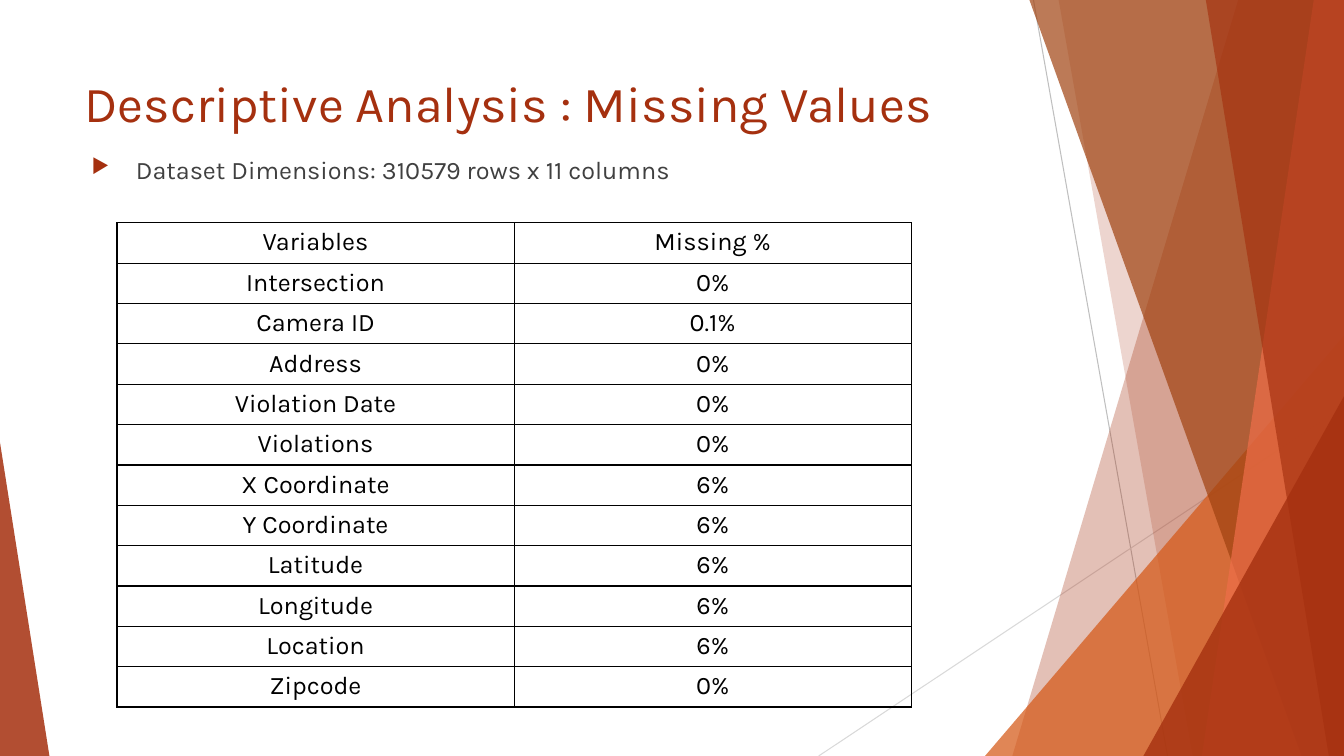
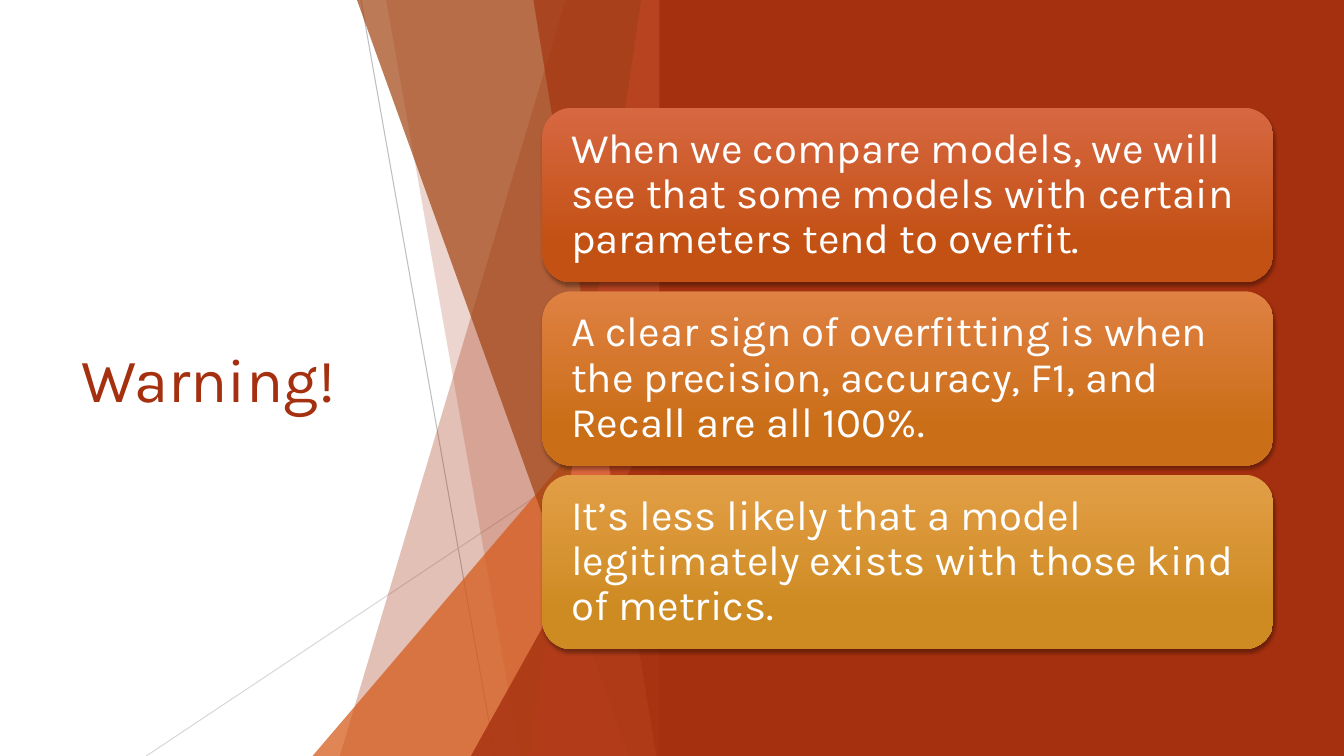
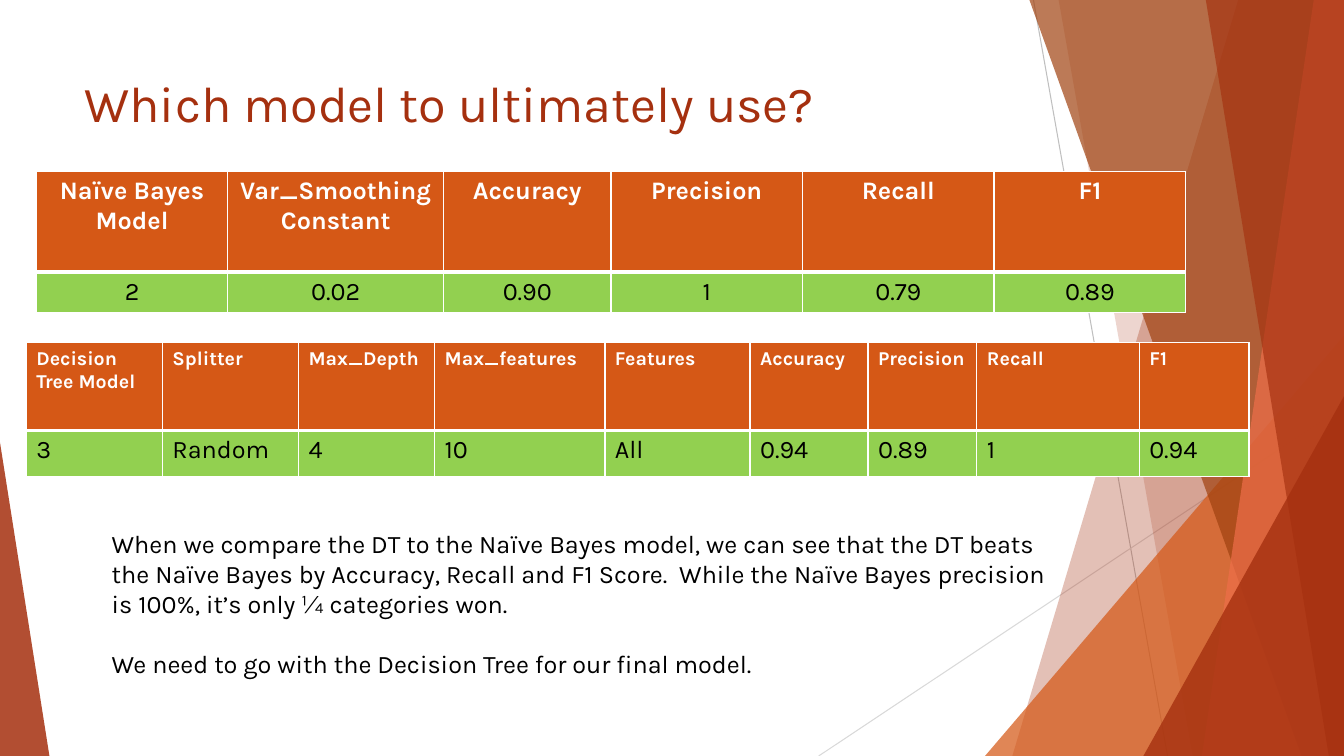
from lxml.etree import SubElement
from pptx import Presentation
from pptx.dml.color import RGBColor
from pptx.enum.shapes import MSO_CONNECTOR, MSO_SHAPE
from pptx.enum.text import MSO_ANCHOR, PP_ALIGN
from pptx.oxml.ns import qn
from pptx.util import Inches, Pt

FONT = "Karla"
RUST = RGBColor(0xA5, 0x30, 0x0F)
ORANGE = RGBColor(0xD5, 0x58, 0x16)
BROWN = RGBColor(0xA0, 0x42, 0x10)
CORAL = RGBColor(0xEE, 0x6E, 0x4A)
GREEN = RGBColor(0x92, 0xD0, 0x50)
WHITE = RGBColor(0xFF, 0xFF, 0xFF)
BLACK = RGBColor(0, 0, 0)
CHARCOAL = RGBColor(0x40, 0x40, 0x40)
SILVER = RGBColor(0xBF, 0xBF, 0xBF)
PALE_GRAY = RGBColor(0xD9, 0xD9, 0xD9)

SLIDE_WIDTH, SLIDE_HEIGHT = 13.33, 7.5
TITLE_BOX = (0.74, 0.67, 9.4, 1.44)

# Each shard: reach left of the fan's right edge at its top and bottom, top, colour, opacity.
SHARDS = [
    (1.05, 3.29, 0, RUST, 30),
    (2.83, 1.5, 0, RUST, 20),
    (0, 3.56, 3.33, ORANGE, 72),
    (3.12, 0.42, 0, BROWN, 70),
    (0.3, 1.41, 0, CORAL, 70),
    (1.37, 0.15, 0, RUST, 65),
    (0, 1.99, 3.93, RUST, 80),
]

MISSING_VALUES = [
    ("Variables", "Missing %"),
    ("Intersection", "0%"),
    ("Camera ID", "0.1%"),
    ("Address", "0%"),
    ("Violation Date", "0%"),
    ("Violations", "0%"),
    ("X Coordinate", "6%"),
    ("Y Coordinate", "6%"),
    ("Latitude", "6%"),
    ("Longitude", "6%"),
    ("Location", "6%"),
    ("Zipcode", "0%"),
]
BAYES = [
    ("Naïve Bayes Model", "Var_Smoothing Constant", "Accuracy", "Precision", "Recall", "F1"),
    ("2", "0.02", "0.90", "1", "0.79", "0.89"),
]
DECISION_TREE = [
    ("Decision Tree Model", "Splitter", "Max_Depth", "Max_features", "Features",
     "Accuracy", "Precision", "Recall", "F1"),
    ("3", "Random", "4", "10", "All", "0.94", "0.89", "1", "0.94"),
]
WARNINGS = [
    ("When we compare models, we will see that some models with certain parameters "
     "tend to overfit.", RGBColor(0xD7, 0x67, 0x41), RGBColor(0xC3, 0x51, 0x14)),
    ("A clear sign of overfitting is when the precision, accuracy, F1, and Recall "
     "are all 100%.", RGBColor(0xDF, 0x81, 0x42), RGBColor(0xCB, 0x6E, 0x18)),
    ("It’s less likely that a model legitimately exists with those kind of metrics.",
     RGBColor(0xE2, 0x9E, 0x46), RGBColor(0xCE, 0x8B, 0x22)),
]
CONCLUSION = (
    "When we compare the DT to the Naïve Bayes model, we can see that the DT beats the "
    "Naïve Bayes by Accuracy, Recall and F1 Score.  While the Naïve Bayes precision is "
    "100%, it’s only ¼ categories won.\n"
    "We need to go with the Decision Tree for our final model."
)


def format_text(text_frame, size, color, bold=False, align=PP_ALIGN.LEFT):
    """Give every run of a text frame the same look."""
    for paragraph in text_frame.paragraphs:
        paragraph.alignment = align
        for run in paragraph.runs:
            run.font.name = FONT
            run.font.size = Pt(size)
            run.font.bold = bold
            run.font.color.rgb = color


def add_text(slide, box, text, size, color, anchor=MSO_ANCHOR.TOP):
    """Add a wrapping text box and return its text frame."""
    text_frame = slide.shapes.add_textbox(*map(Inches, box)).text_frame
    text_frame.word_wrap = True
    text_frame.vertical_anchor = anchor
    text_frame.text = text
    format_text(text_frame, size, color)
    return text_frame


def paint(shape, color, opacity=100):
    """Fill a shape with one colour, without line or shadow."""
    shape.shadow.inherit = False
    shape.line.fill.background()
    shape.fill.solid()
    shape.fill.fore_color.rgb = color
    if opacity < 100:
        tint = next(shape._element.spPr.iter(qn("a:srgbClr")))
        SubElement(tint, qn("a:alpha"), val=str(opacity * 1000))


def add_triangle(slide, box, peak, color, opacity):
    """Add a right triangle whose peak is at its left (0) or right (1) side."""
    triangle = slide.shapes.add_shape(MSO_SHAPE.ISOSCELES_TRIANGLE, *map(Inches, box))
    triangle.adjustments[0] = peak
    paint(triangle, color, opacity)


def add_thin_line(slide, start, end, color):
    """Add a thin straight line."""
    line = slide.shapes.add_connector(
        MSO_CONNECTOR.STRAIGHT, *map(Inches, (*start, *end)))
    line.line.color.rgb = color
    line.line.width = Pt(0.75)
    SubElement(line._element.spPr, qn("a:effectLst"))


def add_fan(slide, right):
    """Add the fan of translucent shards that ends at the given right edge."""
    add_thin_line(slide, (right - 3.08, 0), (right - 1.75, SLIDE_HEIGHT), SILVER)
    add_thin_line(slide, (right, 4.03), (right - 5.21, SLIDE_HEIGHT), PALE_GRAY)
    for top_reach, bottom_reach, top, color, opacity in SHARDS:
        if top:
            box = (right - bottom_reach, top, bottom_reach, SLIDE_HEIGHT - top)
            add_triangle(slide, box, 1, color, opacity)
            continue
        builder = slide.shapes.build_freeform(Inches(right - top_reach), 0)
        corners = [(right, 0), (right, SLIDE_HEIGHT), (right - bottom_reach, SLIDE_HEIGHT)]
        builder.add_line_segments([(Inches(x), Inches(y)) for x, y in corners])
        paint(builder.convert_to_shape(), color, opacity)


def add_content_slide(presentation, title):
    """Add a slide with the right fan, the left wedge and a title."""
    slide = presentation.slides.add_slide(presentation.slide_layouts[6])
    add_fan(slide, SLIDE_WIDTH)
    add_triangle(slide, (0, 4.39, 0.49, 3.11), 0, RUST, 85)
    add_text(slide, TITLE_BOX, title, 36, RUST)
    return slide


def set_borders(cell, color, width, bottom_width):
    """Draw the four borders of a table cell."""
    properties = cell._tc.get_or_add_tcPr()
    for side in ("L", "R", "T", "B"):
        points = bottom_width if side == "B" else width
        line = SubElement(properties, qn(f"a:ln{side}"), w=str(Pt(points)))
        fill = SubElement(line, qn("a:solidFill"))
        SubElement(fill, qn("a:srgbClr"), val=str(color))


def add_grid(slide, left, top, widths, heights, rows):
    """Add a table without style and return it."""
    frame = slide.shapes.add_table(
        len(rows), len(widths), Inches(left), Inches(top),
        Inches(sum(widths)), Inches(sum(heights)))
    table = frame.table
    table.first_row = table.horz_banding = False
    for column, width in zip(table.columns, widths):
        column.width = Inches(width)
    for row, height, texts in zip(table.rows, heights, rows):
        row.height = Inches(height)
        for cell, text in zip(row.cells, texts):
            cell.text_frame.text = text
    return table


def add_plain_table(slide, left, top, widths, row_height, rows):
    """Add an unfilled table with black borders and centred text."""
    table = add_grid(slide, left, top, widths, [row_height] * len(rows), rows)
    for cell in table.iter_cells():
        set_borders(cell, BLACK, 1, 1)
        cell.fill.background()
        format_text(cell.text_frame, 18, BLACK, align=PP_ALIGN.CENTER)


def add_score_table(slide, left, top, widths, heights, rows, header_size, align):
    """Add a table with an orange header row and a green row of scores."""
    table = add_grid(slide, left, top, widths, heights, rows)
    row_styles = [(ORANGE, header_size, WHITE, True, 3), (GREEN, 18, BLACK, False, 1)]
    for row, (fill, size, color, bold, bottom_width) in zip(table.rows, row_styles):
        for cell in row.cells:
            set_borders(cell, WHITE, 1, bottom_width)
            cell.fill.solid()
            cell.fill.fore_color.rgb = fill
            format_text(cell.text_frame, size, color, bold, align)


def add_bullet(slide, box, text):
    """Add one line of text with a triangular bullet."""
    paragraph = add_text(slide, box, text, 18, CHARCOAL).paragraphs[0]
    properties = paragraph._p.get_or_add_pPr()
    properties.set("marL", str(Inches(0.44)))
    properties.set("indent", str(-Inches(0.44)))
    color = SubElement(properties, qn("a:buClr"))
    SubElement(color, qn("a:srgbClr"), val=str(RUST))
    SubElement(properties, qn("a:buSzPct"), val="80000")
    SubElement(properties, qn("a:buChar"), char="▶")


def add_card(slide, box, text, top_color, bottom_color):
    """Add a rounded gradient card with a soft shadow."""
    card = slide.shapes.add_shape(MSO_SHAPE.ROUNDED_RECTANGLE, *map(Inches, box))
    card.line.fill.background()
    card.fill.gradient()
    card.fill.gradient_angle = 270
    stops = zip(card.fill.gradient_stops, (0, 0.78), (top_color, bottom_color))
    for stop, position, color in stops:
        stop.position = position
        stop.color.rgb = color
    effects = SubElement(card._element.spPr, qn("a:effectLst"))
    shadow = SubElement(effects, qn("a:outerShdw"), blurRad=str(Pt(3)), dist=str(Pt(2)),
                        dir="5400000", rotWithShape="0")
    tint = SubElement(shadow, qn("a:srgbClr"), val=str(BLACK))
    SubElement(tint, qn("a:alpha"), val="35000")
    text_frame = card.text_frame
    text_frame.word_wrap = True
    text_frame.vertical_anchor = MSO_ANCHOR.MIDDLE
    text_frame.margin_left = text_frame.margin_right = Inches(0.2)
    text_frame.text = text
    text_frame.paragraphs[0].line_spacing = 0.9
    format_text(text_frame, 30, WHITE)


def build_missing_values(presentation):
    """Build the slide on missing values."""
    slide = add_content_slide(presentation, "Descriptive Analysis : Missing Values")
    add_bullet(slide, (0.81, 1.48, 9.33, 0.5),
               "Dataset Dimensions: 310579 rows x 11 columns")
    add_plain_table(slide, 1.16, 2.21, [3.94] * 2, 0.37, MISSING_VALUES)


def build_warning(presentation):
    """Build the slide that warns of overfitting."""
    slide = presentation.slides.add_slide(presentation.slide_layouts[6])
    add_text(slide, (0.71, 1.51, 3.88, 4.48), "Warning!", 44, RUST, MSO_ANCHOR.MIDDLE)
    add_fan(slide, 6.66)
    panel_left = 6.54
    panel = slide.shapes.add_shape(
        MSO_SHAPE.RECTANGLE, Inches(panel_left), 0,
        Inches(SLIDE_WIDTH - panel_left), Inches(SLIDE_HEIGHT))
    paint(panel, RUST)
    for index, warning in enumerate(WARNINGS):
        add_card(slide, (5.38, 1.07 + 1.82 * index, 7.25, 1.73), *warning)


def build_model_choice(presentation):
    """Build the slide that compares the two best models."""
    slide = add_content_slide(presentation, "Which model to ultimately use?")
    add_score_table(slide, 0.26, 3.4, [1.35, 1.35, 1.35, 1.69, 1.44, 1.17, 1.08, 1.61, 1.09],
                    [0.87, 0.46], DECISION_TREE, 14, PP_ALIGN.LEFT)
    add_score_table(slide, 0.36, 1.7, [1.9, 2.14, 1.66, 1.9, 1.9, 1.9],
                    [1, 0.32], BAYES, 18, PP_ALIGN.CENTER)
    conclusion = add_text(slide, (1.01, 5.19, 9.5, 1.62), CONCLUSION, 18, BLACK)
    conclusion.paragraphs[1].space_before = Pt(21)


def main():
    """Build and save the presentation."""
    presentation = Presentation()
    presentation.slide_width = Inches(SLIDE_WIDTH)
    presentation.slide_height = Inches(SLIDE_HEIGHT)
    build_missing_values(presentation)
    build_warning(presentation)
    build_model_choice(presentation)
    presentation.save("out.pptx")


main()
